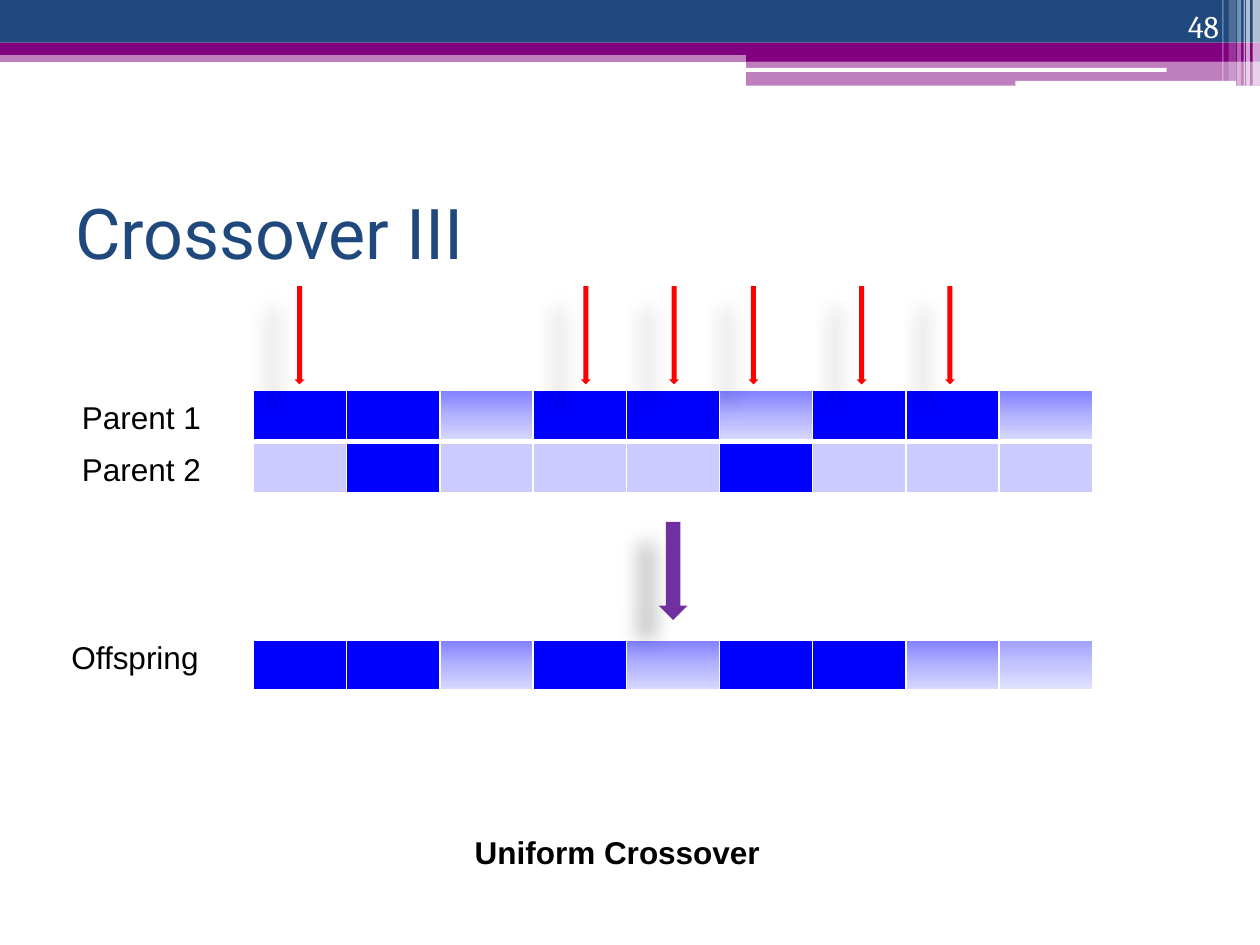
"""Build the uniform crossover slide with parent and offspring gene tables."""
from pptx import Presentation
from pptx.dml.color import RGBColor
from pptx.enum.shapes import MSO_SHAPE
from pptx.enum.text import MSO_ANCHOR, MSO_AUTO_SIZE, PP_ALIGN
from pptx.oxml import parse_xml
from pptx.oxml.ns import nsdecls, qn
from pptx.util import Cm, Pt

NAVY, PLUM, WHITE, BLACK = "1F497D", "800080", "FFFFFF", "000000"
RECT, ROUND, DOWN = MSO_SHAPE.RECTANGLE, MSO_SHAPE.ROUNDED_RECTANGLE, MSO_SHAPE.DOWN_ARROW

BARS = [
    (RECT, (0, 1.02, 25.4, 0.23), PLUM, 50),
    (RECT, (0, 0, 25.4, 0.86), NAVY, 100),
    (RECT, (0, 0.86, 25.4, 0.25), PLUM, 100),
    (RECT, (15.04, 0.99, 10.36, 0.25), PLUM, 100),
    (RECT, (15.04, 1.22, 10.36, 0.51), PLUM, 50),
    (ROUND, (15.01, 1.37, 8.51, 0.08), WHITE, 100),
    (ROUND, (20.47, 1.63, 4.45, 0.1), WHITE, 100),
]
STRIPES = [
    (25.25, 0.15, 1.73, 65), (25.12, 0.08, 1.73, 65), (25.07, 0.03, 1.73, 60),
    (24.94, 0.08, 1.73, 40), (24.77, 0.15, 1.63, 20), (24.64, 0.03, 1.63, 30),
]
BARS += [(RECT, (left, 0, wide, high), WHITE, alpha) for left, wide, high, alpha in STRIPES]

GENES = {
    "B": ["0000FF"],
    "L": ["CBCBFF"],
    "G": ["8080FF", "B3B3FF", "DADAFF"],
    "P": ["A0A0FF", "C5C5FF", "E3E3FF"],
}
TABLES = [(7.87, ["BBGBBGBBG", "LBLLLBLLL"]), (12.9, ["BBGBGBBGP"])]
LEFT, COL, ROW = 5.11, 1.88, 1.03

ARROWS = [((x, 5.77, 0.2, 1.98), "FF0000") for x in (5.94, 11.71, 13.49, 15.09, 17.27, 19.05)]
ARROWS.append(((13.28, 10.52, 0.58, 1.98), "7030A0"))

BODY = {"name": "Arial", "size": Pt(18), "bold": False}
TITLE = {"name": "Roboto", "size": Pt(40), "bold": False}
PAGE = {"name": "Cambria", "size": Pt(18), "bold": False}
GROW = {"auto_size": MSO_AUTO_SIZE.SHAPE_TO_FIT_TEXT, "word_wrap": False}
WRAP = {"word_wrap": True}
TEXTS = [
    ("Crossover III", (1.27, 3.18, 22.86, 2.97), TITLE, NAVY,
     {**WRAP, "vertical_anchor": MSO_ANCHOR.MIDDLE}, PP_ALIGN.LEFT),
    ("Parent 1", (1.4, 7.9, 3.58, 1.02), BODY, BLACK, {**GROW, **WRAP}, PP_ALIGN.LEFT),
    ("Parent 2", (1.4, 8.94, 2.95, 1.02), BODY, BLACK, GROW, PP_ALIGN.LEFT),
    ("Offspring", (1.19, 12.73, 3.28, 1.02), BODY, BLACK, GROW, PP_ALIGN.LEFT),
    ("Uniform Crossover", (9.32, 16.66, 6.32, 1.02), {**BODY, "bold": True}, BLACK,
     GROW, PP_ALIGN.LEFT),
    ("48", (22.71, 0, 2.11, 1.02), PAGE, WHITE,
     {**WRAP, "vertical_anchor": MSO_ANCHOR.BOTTOM}, PP_ALIGN.RIGHT),
]


def style(item, form):
    for key, value in form.items():
        setattr(item, key, value)


def place(box):
    return [Cm(size) for size in box]


def paint(fill, color):
    fill.solid()
    fill.fore_color.rgb = RGBColor.from_string(color)


def add_shape(slide, kind, box, color, alpha=100):
    shape = slide.shapes.add_shape(kind, *place(box))
    shape.shadow.inherit = False
    shape.line.fill.background()
    paint(shape.fill, color)
    if alpha < 100:
        tint = shape._element.spPr.find(qn("a:solidFill"))[0]
        tint.append(parse_xml(f'<a:alpha {nsdecls("a")} val="{alpha * 1000}"/>'))
    return shape


def add_arrow(slide, box, color):
    shape = add_shape(slide, DOWN, box, color)
    shape._element.spPr.find(qn("a:effectLst")).append(parse_xml(
        f'<a:outerShdw {nsdecls("a")} blurRad="150000" dist="250000" dir="8460000" '
        'algn="tl" rotWithShape="0"><a:srgbClr val="000000"><a:alpha val="28000"/>'
        '</a:srgbClr></a:outerShdw>'))


def add_text(slide, text, box, font, color, frame, align):
    body = slide.shapes.add_textbox(*place(box)).text_frame
    style(body, frame)
    para = body.paragraphs[0]
    para.alignment = align
    run = para.add_run()
    run.text = text
    style(run.font, font)
    run.font.color.rgb = RGBColor.from_string(color)


def fill_cell(cell, colors, row):
    props = cell._tc.get_or_add_tcPr()
    thick = "T" if row else "B"
    for side in "LRTB":
        width = Pt(3 if side == thick else 1)
        props.append(parse_xml(
            f'<a:ln{side} {nsdecls("a")} w="{width}"><a:solidFill>'
            f'<a:srgbClr val="{WHITE}"/></a:solidFill></a:ln{side}>'))
    if len(colors) == 1:
        paint(cell.fill, colors[0])
        return
    stops = "".join(f'<a:gs pos="{i * 50000}"><a:srgbClr val="{color}"/></a:gs>'
                    for i, color in enumerate(colors))
    props.append(parse_xml(
        f'<a:gradFill {nsdecls("a")} rotWithShape="1"><a:gsLst>{stops}</a:gsLst>'
        '<a:lin ang="5400000" scaled="0"/></a:gradFill>'))


def add_genes(slide, top, rows):
    count = len(rows[0])
    box = place((LEFT, top, COL * count, ROW * len(rows)))
    table = slide.shapes.add_table(len(rows), count, *box).table
    style(table, {"first_row": False, "horz_banding": False})
    for r, genes in enumerate(rows):
        for c, gene in enumerate(genes):
            fill_cell(table.cell(r, c), GENES[gene], r)


def main():
    deck = Presentation()
    style(deck, {"slide_width": Cm(25.4), "slide_height": Cm(19.05)})
    slide = deck.slides.add_slide(deck.slide_layouts[6])
    for bar in BARS:
        add_shape(slide, *bar)
    for top, rows in TABLES:
        add_genes(slide, top, rows)
    for arrow in ARROWS:
        add_arrow(slide, *arrow)
    for text in TEXTS:
        add_text(slide, *text)
    deck.save("out.pptx")


if __name__ == "__main__":
    main()
